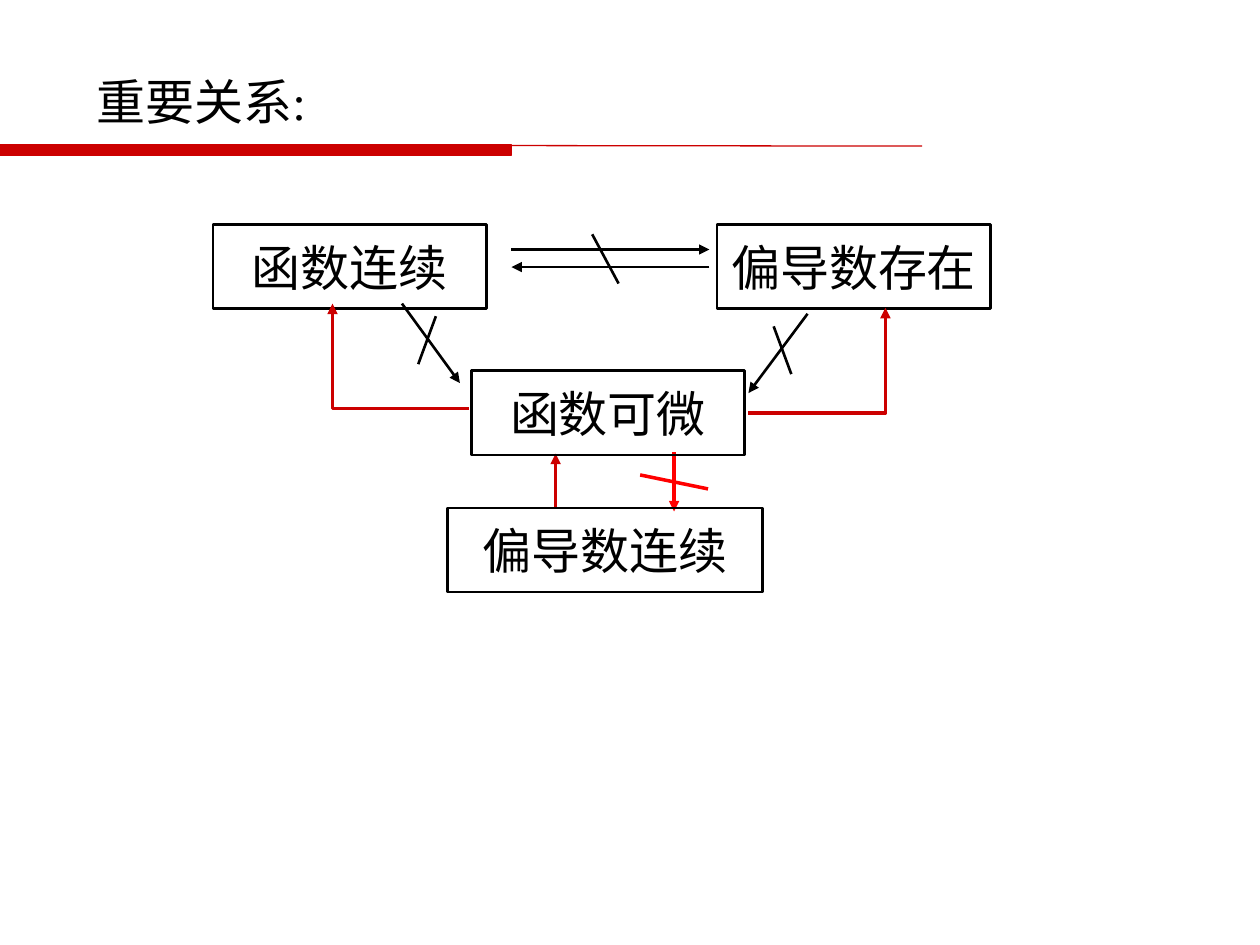
from lxml.etree import SubElement
from pptx import Presentation
from pptx.dml.color import RGBColor
from pptx.enum.shapes import MSO_CONNECTOR, MSO_SHAPE
from pptx.enum.text import MSO_ANCHOR, MSO_AUTO_SIZE, PP_ALIGN
from pptx.oxml.ns import qn
from pptx.util import Pt

BLACK = RGBColor(0x00, 0x00, 0x00)
DARK_RED = RGBColor(0xCC, 0x00, 0x00)
BRIGHT_RED = RGBColor(0xFF, 0x00, 0x00)


def style_line(shape, color, width, arrow):
    shape.line.color.rgb = color
    shape.line.width = Pt(width)
    properties = shape.element.spPr
    if arrow:
        SubElement(properties.find(qn("a:ln")), qn("a:tailEnd"), type="triangle")
    if properties.find(qn("a:effectLst")) is None:
        SubElement(properties, qn("a:effectLst"))


def add_text(paragraph, text):
    run = paragraph.add_run()
    run.text = text
    run.font.size = Pt(28)
    run.font.name = "Times New Roman"
    run.font.color.rgb = BLACK


presentation = Presentation()
presentation.slide_width = Pt(720)
presentation.slide_height = Pt(540)
slide = presentation.slides.add_slide(presentation.slide_layouts[6])

title_bar = slide.shapes.add_shape(MSO_SHAPE.RECTANGLE, 0, Pt(82.8), Pt(292.3), Pt(5.8))
title_bar.shadow.inherit = False
title_bar.fill.solid()
title_bar.fill.fore_color.rgb = DARK_RED
title_bar.line.color.rgb = DARK_RED
title_bar.line.width = Pt(0.75)

title = slide.shapes.add_textbox(Pt(48.2), Pt(37.4), Pt(185.8), Pt(41))
title.text_frame.word_wrap = True
title.text_frame.auto_size = MSO_AUTO_SIZE.SHAPE_TO_FIT_TEXT
add_text(title.text_frame.paragraphs[0], "重要关系:")

lines = [
    (0, 82.8, 527, 83.5, DARK_RED, 0.75, False),
    (229.7, 173.5, 262.8, 218.9, BLACK, 1.5, True),
    (249.1, 180.7, 239, 208.1, BLACK, 1.5, False),
    (292.3, 142.6, 405.4, 142.6, BLACK, 1.5, True),
    (405.4, 152.6, 292.3, 152.6, BLACK, 1.5, True),
    (338.4, 133.9, 353.5, 162, BLACK, 1.5, False),
    (385.2, 258.5, 385.2, 292.3, BRIGHT_RED, 2, True),
    (365.8, 271.4, 404.6, 279.4, BRIGHT_RED, 2, False),
    (317.5, 290.2, 317.5, 259.2, DARK_RED, 2, True),
    (461.5, 179.3, 427.7, 224.6, BLACK, 1.5, True),
    (442.1, 186.5, 452.2, 213.8, BLACK, 1.5, False),
]
for x1, y1, x2, y2, color, width, arrow in lines:
    connector = slide.shapes.add_connector(
        MSO_CONNECTOR.STRAIGHT, Pt(x1), Pt(y1), Pt(x2), Pt(y2)
    )
    style_line(connector, color, width, arrow)

concepts = [
    ("偏导数存在", 409.7, 128.2, 156.2),
    ("函数可微", 269.3, 211.9, 156.2),
    ("偏导数连续", 255.6, 290.2, 180),
    ("函数连续", 121.7, 128.2, 156.2),
]
for text, left, top, width in concepts:
    box = slide.shapes.add_shape(
        MSO_SHAPE.RECTANGLE, Pt(left), Pt(top), Pt(width), Pt(48.2)
    )
    box.shadow.inherit = False
    box.fill.background()
    box.line.color.rgb = BLACK
    box.line.width = Pt(1.5)
    box.text_frame.word_wrap = False
    box.text_frame.vertical_anchor = MSO_ANCHOR.MIDDLE
    paragraph = box.text_frame.paragraphs[0]
    paragraph.alignment = PP_ALIGN.CENTER
    add_text(paragraph, text)

elbows = [(427.7, 236, 506, 175.9), (267.8, 233.5, 190, 173.5)]
for start_x, start_y, end_x, end_y in elbows:
    builder = slide.shapes.build_freeform(Pt(start_x), Pt(start_y))
    builder.add_line_segments(
        [(Pt(end_x), Pt(start_y)), (Pt(end_x), Pt(end_y))], close=False
    )
    elbow = builder.convert_to_shape()
    elbow.shadow.inherit = False
    elbow.fill.background()
    style_line(elbow, DARK_RED, 2, True)

presentation.save("out.pptx")
